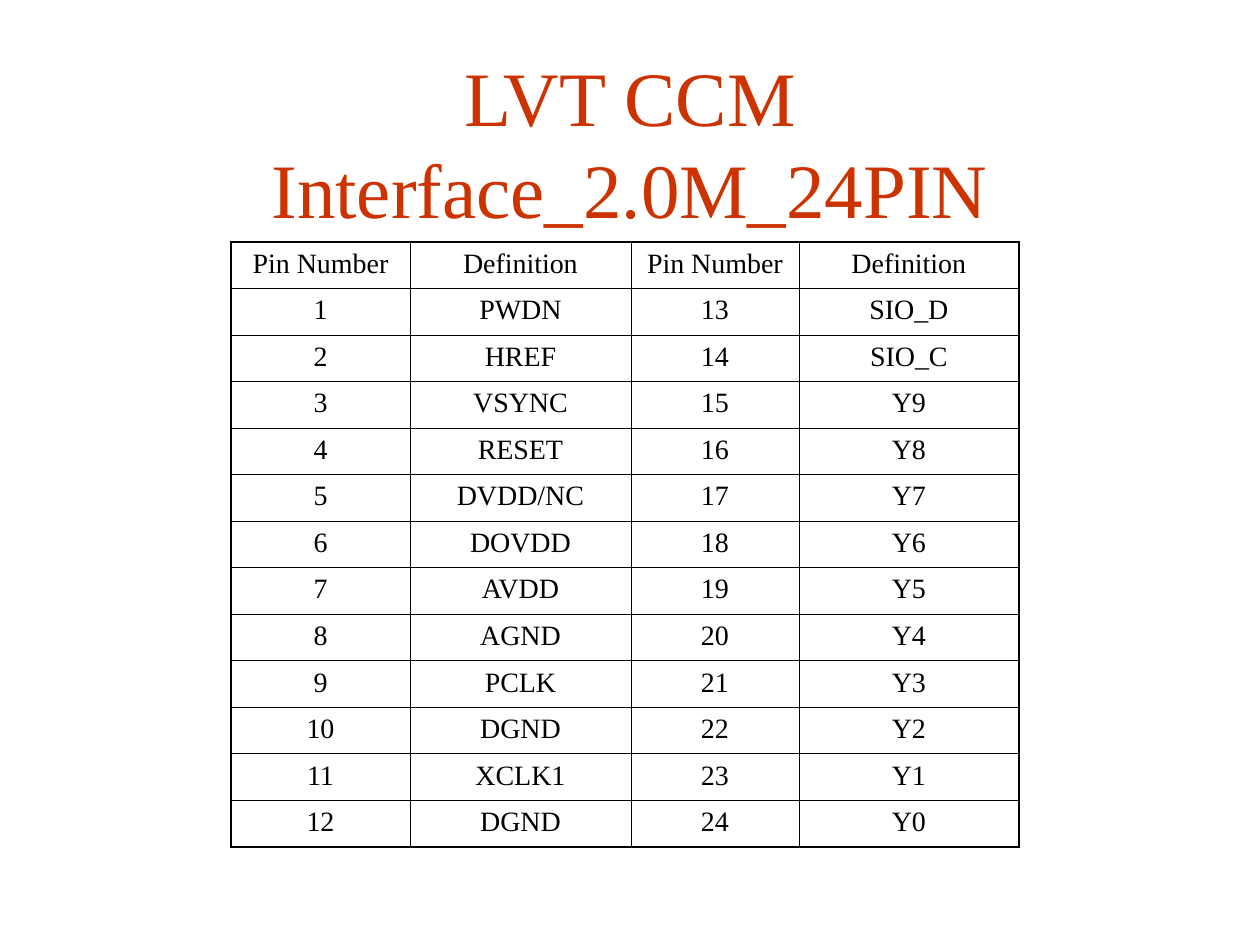
from lxml import etree
from pptx import Presentation
from pptx import util as u
from pptx.dml.color import RGBColor
from pptx.enum import text
from pptx.oxml.ns import qn

PX = u.Inches(1) // 126
COLORS = {"title": "CC3300", "ink": "000000"}
FONT = "Times New Roman"
THIN, THICK = 0.45, 1.08

LEFT_SIGNALS = ["PWDN", "HREF", "VSYNC", "RESET", "DVDD/NC", "DOVDD",
                "AVDD", "AGND", "PCLK", "DGND", "XCLK1", "DGND"]
RIGHT_SIGNALS = ["SIO_D", "SIO_C"] + [f"Y{bit}" for bit in range(9, -1, -1)]


class Deck:
    def __init__(self, width, height):
        self.presentation = Presentation()
        self.presentation.slide_width = width * PX
        self.presentation.slide_height = height * PX
        layout = self.presentation.slide_layouts.get_by_name("Title Only")
        self.slide = self.presentation.slides.add_slide(layout)

    def style(self, paragraph, size, color):
        paragraph.alignment = text.PP_ALIGN.CENTER
        paragraph.font.name = FONT
        paragraph.font.size = u.Pt(size)
        paragraph.font.color.rgb = RGBColor.from_string(COLORS[color])

    def title(self, wording, left, top, width, height):
        heading = self.slide.shapes.title
        heading.left, heading.top = left * PX, top * PX
        heading.width, heading.height = width * PX, height * PX
        frame = heading.text_frame
        frame.text = wording
        frame.word_wrap = True
        frame.auto_size = text.MSO_AUTO_SIZE.NONE
        frame.vertical_anchor = text.MSO_ANCHOR.MIDDLE
        self.style(frame.paragraphs[0], 44, "title")

    def border(self, cell, side, points):
        """Draw one cell edge; side is L, R, T or B."""
        line = etree.SubElement(cell._tc.get_or_add_tcPr(), qn(f"a:ln{side}"),
                                w=str(u.Pt(points)))
        fill = etree.SubElement(line, qn("a:solidFill"))
        etree.SubElement(fill, qn("a:srgbClr"), val=COLORS["ink"])

    def table(self, rows, left, top, widths, height):
        """Add a grid of equal rows with a thicker outer frame."""
        last_row, last_column = len(rows) - 1, len(widths) - 1
        grid = self.slide.shapes.add_table(
            len(rows), len(widths), left * PX, top * PX,
            sum(widths) * PX, height * PX).table
        grid.first_row = grid.horz_banding = False
        for column, width in zip(grid.columns, widths):
            column.width = width * PX
        for r, row in enumerate(rows):
            for c, wording in enumerate(row):
                cell = grid.cell(r, c)
                cell.text = wording
                paragraph = cell.text_frame.paragraphs[0]
                paragraph.space_before = u.Pt(4)
                self.style(paragraph, 16, "ink")
                outer = {"L": c == 0, "R": c == last_column,
                         "T": r == 0, "B": r == last_row}
                for side, is_outer in outer.items():
                    self.border(cell, side, THICK if is_outer else THIN)
                cell.fill.background()

    def save(self):
        self.presentation.save("out.pptx")


def pin_rows():
    half = len(LEFT_SIGNALS)
    header = ["Pin Number", "Definition"] * 2
    pairs = zip(LEFT_SIGNALS, RIGHT_SIGNALS)
    return [header] + [[str(pin), left, str(pin + half), right]
                       for pin, (left, right) in enumerate(pairs, 1)]


def main():
    deck = Deck(1260, 945)
    deck.title("LVT CCM Interface_2.0M_24PIN", 94, 63, 1072, 158)
    deck.table(pin_rows(), 231, 242, [179, 221, 168, 220], 605)
    deck.save()


if __name__ == "__main__":
    main()
